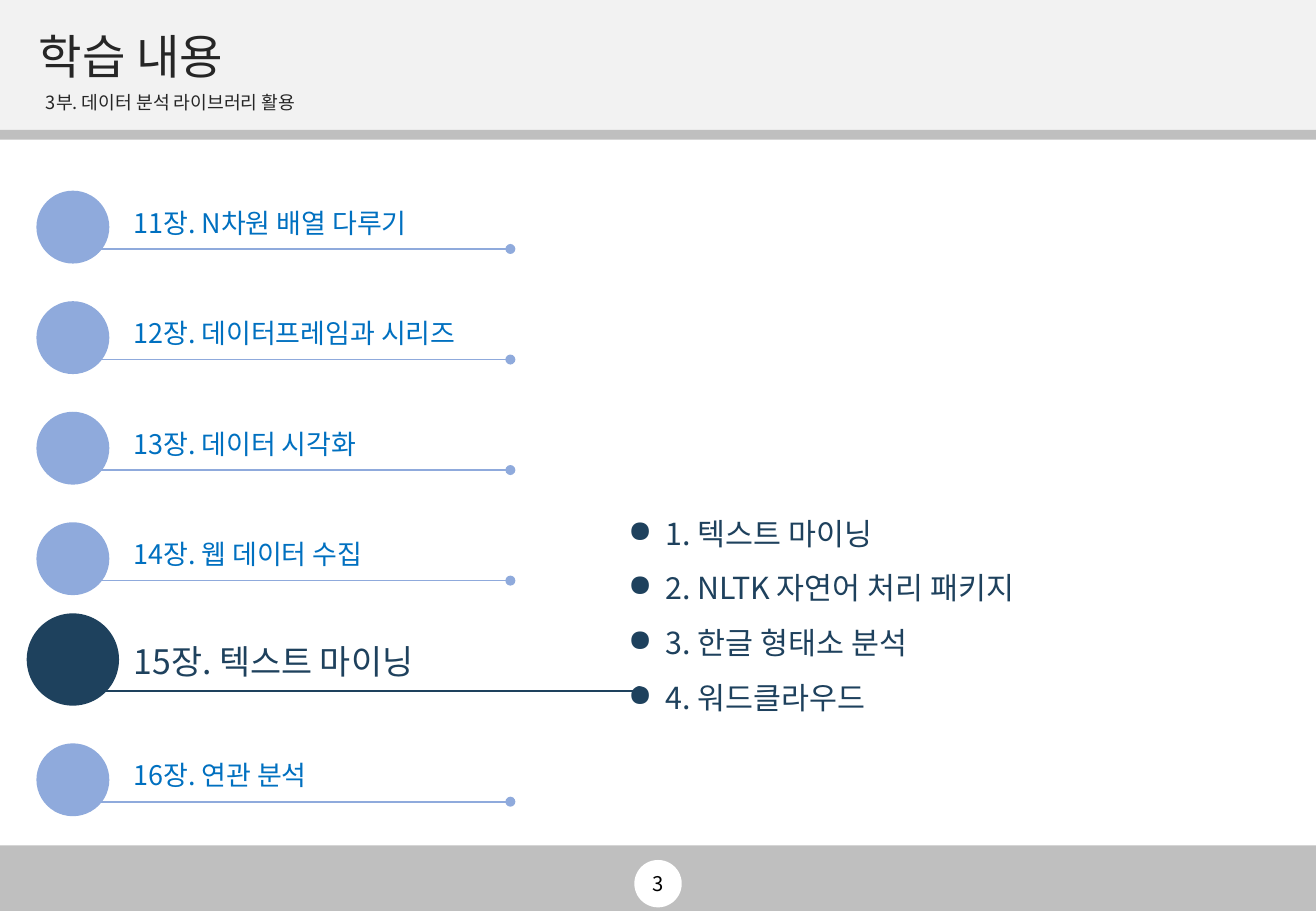
"""Build the chapter overview slide of part 3, with chapter 15 highlighted."""
from lxml import etree
from pptx import Presentation
from pptx.dml.color import RGBColor
from pptx.enum.shapes import MSO_CONNECTOR, MSO_SHAPE
from pptx.enum.text import MSO_ANCHOR, PP_ALIGN
from pptx.oxml.ns import qn
from pptx.util import Inches, Pt

RECT, OVAL = MSO_SHAPE.RECTANGLE, MSO_SHAPE.OVAL
STRAIGHT = MSO_CONNECTOR.STRAIGHT
TOP, MIDDLE = MSO_ANCHOR.TOP, MSO_ANCHOR.MIDDLE
LEFT, CENTER = PP_ALIGN.LEFT, PP_ALIGN.CENTER
FONT = "Noto Sans CJK KR"
GRAY, NAVY, PALE_BLUE, BLUE = "BFBFBF", "1E415D", "8FAADC", "0070C0"
WIDTH, HEIGHT = 10.83, 7.5

prs = Presentation()
prs.slide_width, prs.slide_height = Inches(WIDTH), Inches(HEIGHT)
slide = prs.slides.add_slide(prs.slide_layouts[6])


def add_filled(kind, left, top, width, height, color):
    shape = slide.shapes.add_shape(kind, Inches(left), Inches(top), Inches(width), Inches(height))
    shape.shadow.inherit = False
    shape.fill.solid()
    shape.fill.fore_color.rgb = RGBColor.from_string(color)
    shape.line.fill.background()


def add_text(lines, left, top, width, height, size, color,
             anchor=TOP, align=LEFT, spacing=1.0, bullet=None):
    box = slide.shapes.add_textbox(Inches(left), Inches(top), Inches(width), Inches(height))
    frame = box.text_frame
    frame.word_wrap = True
    frame.vertical_anchor = anchor
    frame.text = "\n".join(lines)
    for paragraph in frame.paragraphs:
        props = paragraph._p.get_or_add_pPr()
        if bullet:
            props.set("marL", str(Inches(0.31)))
            props.set("indent", str(-Inches(0.31)))
            etree.SubElement(props, qn("a:buChar")).set("char", bullet)
        paragraph.alignment = align
        paragraph.line_spacing = spacing
        paragraph.font.size = Pt(size)
        paragraph.font.color.rgb = RGBColor.from_string(color)
        paragraph.font.name = FONT
        etree.SubElement(props.find(qn("a:defRPr")), qn("a:ea")).set("typeface", FONT)


add_filled(RECT, 0, 7.04, WIDTH, 0.46, GRAY)
add_filled(RECT, 0, 6.96, WIDTH, 0.08, GRAY)
add_filled(OVAL, 5.22, 7.08, 0.39, 0.39, "FFFFFF")
add_filled(RECT, 0, 0, WIDTH, 1.07, "F2F2F2")
add_filled(RECT, 0, 1.07, WIDTH, 0.08, GRAY)

add_text(["학습 내용"], 0.22, 0.21, 10.39, 0.55, 28, "262626", MIDDLE, spacing=0.9)
add_text(["3부. 데이터 분석 라이브러리 활용"], 0.28, 0.74, 10.32, 0.24, 10.8, "262626",
         MIDDLE, spacing=0.7)
add_text(["3"], 4.2, 7.08, 2.44, 0.39, 12, "000000", MIDDLE, CENTER)

chapters = [
    "11장. N차원 배열 다루기",
    "12장. 데이터프레임과 시리즈",
    "13장. 데이터 시각화",
    "14장. 웹 데이터 수집",
    "15장. 텍스트 마이닝",
    "16장. 연관 분석",
]
current_chapter = 4
for index, chapter in enumerate(chapters):
    row_top = 1.57 + 0.91 * index
    if index == current_chapter:
        accent, line_end = NAVY, 5.26
        add_filled(OVAL, 0.22, 5.05, 0.76, 0.76, accent)
        add_text([chapter], 1, 5.23, 3.85, 0.44, 20, NAVY)
    else:
        accent, line_end = PALE_BLUE, 4.2
        add_filled(OVAL, 0.3, row_top, 0.6, 0.6, accent)
        add_text([chapter], 1, row_top + 0.08, 4.62, 0.37, 16, BLUE)
    line_top = Inches(row_top + 0.48)
    underline = slide.shapes.add_connector(STRAIGHT, Inches(0.79), line_top,
                                           Inches(line_end), line_top)
    underline.line.color.rgb = RGBColor.from_string(accent)
    underline.line.width = Pt(1)
    etree.SubElement(underline.line._get_or_add_ln(), qn("a:tailEnd")).set("type", "oval")
    etree.SubElement(underline._element.spPr, qn("a:effectLst"))

sections = ["1. 텍스트 마이닝", "2. NLTK 자연어 처리 패키지", "3. 한글 형태소 분석", "4. 워드클라우드"]
add_text(sections, 5.07, 4.04, 4.6, 1.92, 18, NAVY, spacing=1.5, bullet="●")

prs.save("out.pptx")
